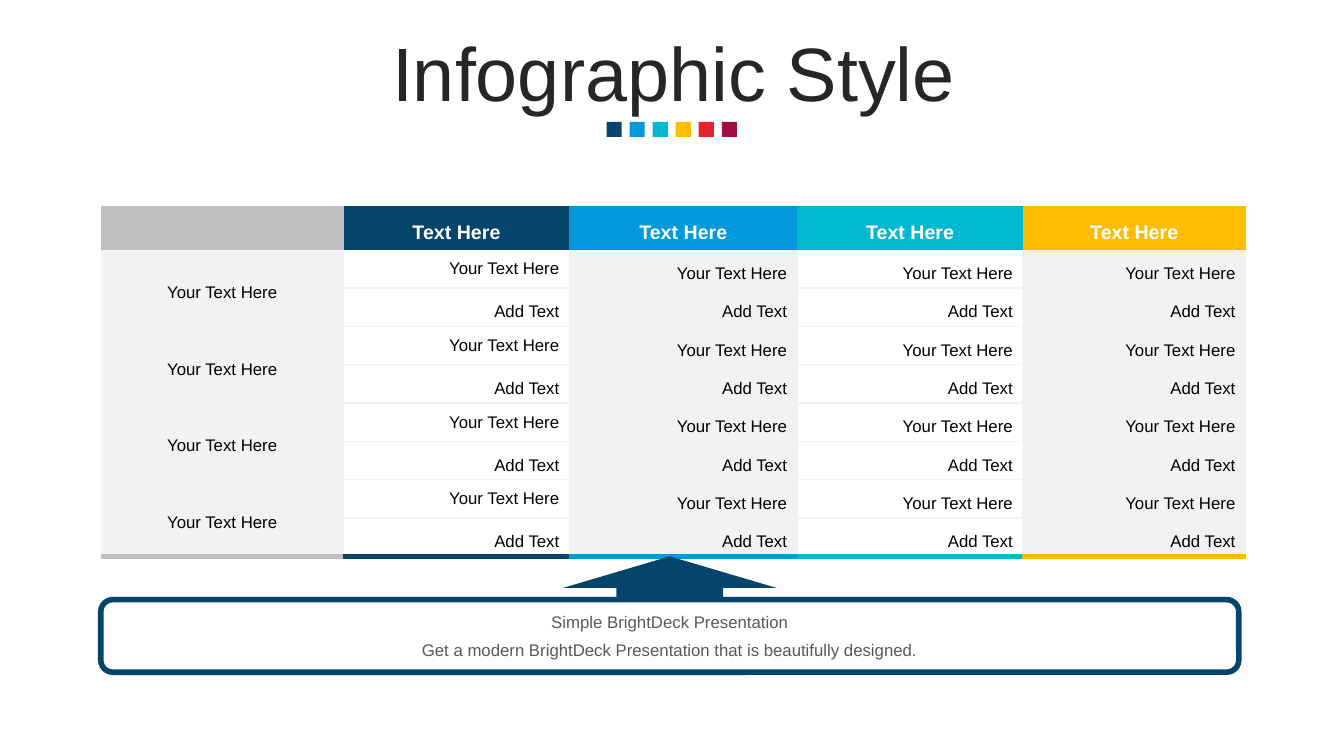
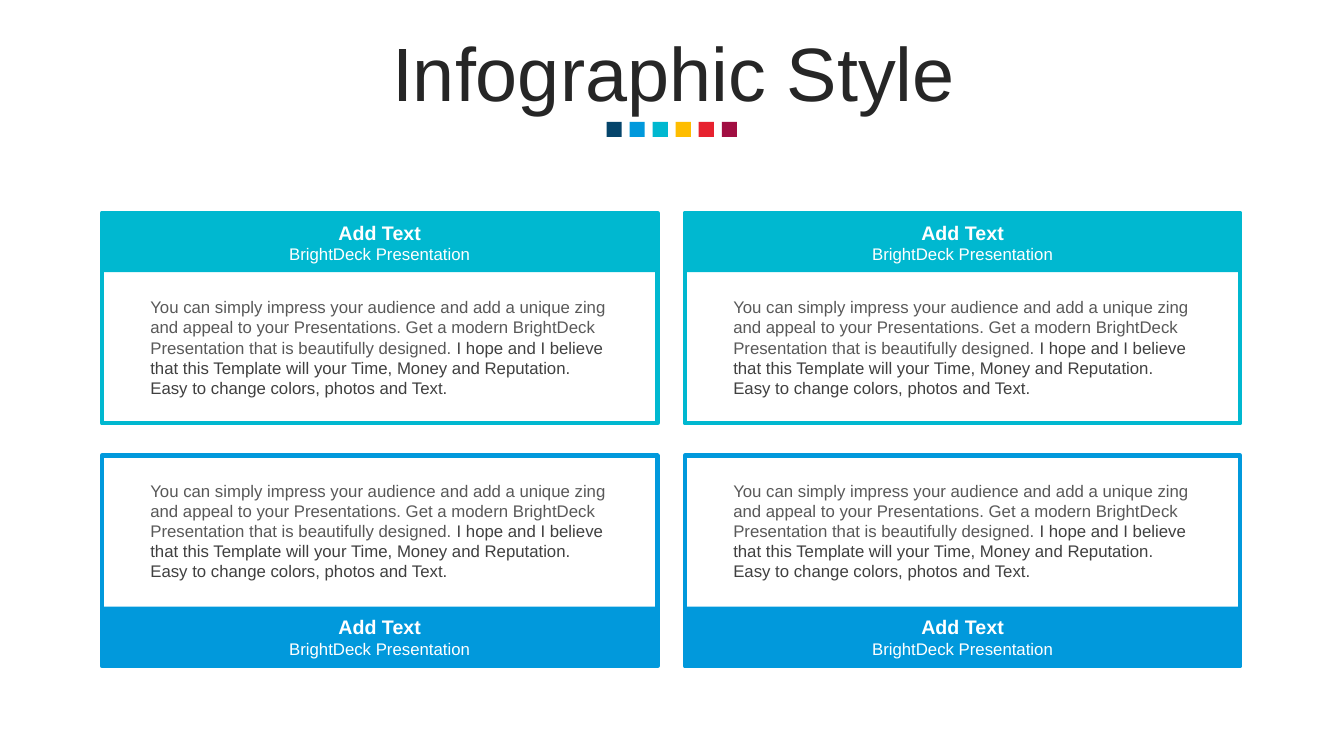
"""Build two infographic slides: a table with a callout and four text cards."""
from lxml import etree
from pptx import Presentation
from pptx.dml.color import RGBColor
from pptx.enum.shapes import MSO_SHAPE
from pptx.enum.text import MSO_ANCHOR, MSO_AUTO_SIZE, PP_ALIGN
from pptx.oxml.ns import qn
from pptx.util import Cm, Pt

RECT, ROUND, ARROW = MSO_SHAPE.RECTANGLE, MSO_SHAPE.ROUNDED_RECTANGLE, MSO_SHAPE.UP_ARROW
LEFT, MID, RIGHT = PP_ALIGN.LEFT, PP_ALIGN.CENTER, PP_ALIGN.RIGHT
CENTER = MSO_ANCHOR.MIDDLE
FIXED = MSO_AUTO_SIZE.NONE
FONT = "Arial"
PLAIN = "{2D5ABB26-0587-4C30-8999-92F81FD0307C}"
HUES = {
    "navy": "05456B", "blue": "0199DC", "teal": "00B8D0", "gold": "FEBD00",
    "red": "E7222F", "wine": "A10E42", "white": "FFFFFF", "black": "000000",
    "pale": "F2F2F2", "gray": "BFBFBF", "title": "262626", "text": "595959",
    "dark": "404040",
}
MARKS = ["navy", "blue", "teal", "gold", "red", "wine"]
HEADS = ["gray", "navy", "blue", "teal", "gold"]
COLS = [6.12, 5.69, 5.74, 5.69, 5.61]
PAIRS = 4
BODY = [
    ("You can simply impress your audience and add a unique zing and appeal to your "
     "Presentations. Get a modern BrightDeck Presentation that is beautifully designed. ", "text"),
    ("I hope and I believe that this Template will your Time, Money and Reputation. "
     "Easy to change colors, photos and Text.", "dark"),
]


def color(name):
    """Return the named colour."""
    return RGBColor.from_string(HUES[name])


def style(para, size, hue, bold=False, align=MID, space=1.0):
    """Format a paragraph and its runs."""
    para.alignment = align
    para.line_spacing = space
    for run in para.runs:
        font = run.font
        font.name, font.size, font.bold = FONT, Pt(size), bold
        font.color.rgb = color(hue)


def add_box(slide, kind, box, fill=None, line=None, width=0):
    """Add a flat shape with an optional fill and outline."""
    shape = slide.shapes.add_shape(kind, *map(Cm, box))
    shape.shadow.inherit = False
    if fill:
        shape.fill.solid()
        shape.fill.fore_color.rgb = color(fill)
    else:
        shape.fill.background()
    if line:
        shape.line.color.rgb = color(line)
        shape.line.width = Pt(width)
    else:
        shape.line.fill.background()
    return shape


def add_lines(shape, lines, gap=0):
    """Write centred lines, each given as text, size, hue and bold."""
    frame = shape.text_frame
    frame.word_wrap = True
    frame.vertical_anchor = CENTER
    frame.text = "\n".join(line[0] for line in lines)
    for i, (para, line) in enumerate(zip(frame.paragraphs, lines)):
        style(para, *line[1:])
        if i:
            para.space_before = Pt(gap)


def add_page(deck):
    """Add a slide with the shared title and row of colour marks."""
    slide = deck.slides.add_slide(deck.slide_layouts[5])
    title = slide.shapes.title
    title.left, title.top, title.width, title.height = map(Cm, (0.9, 0.94, 32.15, 2))
    frame = title.text_frame
    frame.text = "Infographic Style"
    frame.auto_size = FIXED
    frame.vertical_anchor = CENTER
    style(frame.paragraphs[0], 54, "title", space=0.9)
    for i, hue in enumerate(MARKS):
        add_box(slide, RECT, (15.29 + i * 0.58, 3.07, 0.38, 0.38), hue)
    return slide


def add_edge(cell, side, hue, width):
    """Draw one border of a cell."""
    props = cell._tc.get_or_add_tcPr()
    line = etree.SubElement(props, qn(f"a:ln{side}"), w=str(Pt(width)))
    fill = etree.SubElement(line, qn("a:solidFill"))
    etree.SubElement(fill, qn("a:srgbClr"), val=HUES[hue])


def fill_cell(cell, text, hue, *look):
    """Write a cell and colour it."""
    cell.fill.solid()
    cell.fill.fore_color.rgb = color(hue)
    cell.vertical_anchor = CENTER
    cell.text_frame.text = text
    style(cell.text_frame.paragraphs[0], *look)


def add_grid(slide, box):
    """Add the table with coloured heads and paired rows."""
    count = 1 + 2 * PAIRS
    table = slide.shapes.add_table(count, len(COLS), *map(Cm, box)).table
    table._tbl.tblPr.find(qn("a:tableStyleId")).text = PLAIN
    table.horz_banding = False
    for col, width in zip(table.columns, COLS):
        col.width = Cm(width)
    for r, row in enumerate(table.rows):
        row.height = Cm(0.94 if r else 1.11)
    for c, head in enumerate(HEADS):
        fill_cell(table.cell(0, c), "Text Here" if c else "", head, 14, "white", True, MID, 1.5)
        shade = "white" if c % 2 else "pale"
        for r in range(1, count):
            cell = table.cell(r, c)
            first = r % 2 == 1
            if c:
                add_edge(cell, "L", "pale", 1)
            if c < len(COLS) - 1:
                add_edge(cell, "R", "pale", 1)
            if r > 1:
                add_edge(cell, "T", "pale", 1)
            last = r == count - 1 or (c == 0 and r == count - 2)
            add_edge(cell, "B", head if last else "pale", 4.5 if last else 1)
            text = "Your Text Here" if first else "Add Text" if c else ""
            space = 1.0 if c == 1 and first else 1.5
            fill_cell(cell, text, shade, 12, "black", False, RIGHT if c else MID, space)
    for r in range(1, count, 2):
        table.cell(r, 0).merge(table.cell(r + 1, 0))


def add_note(slide, box):
    """Add the rounded note with an arrow pointing up from it."""
    x, y, w, _ = box
    note = add_box(slide, ROUND, box, "white", "navy", 4)
    add_lines(note, [
        ("Simple BrightDeck Presentation", 12, "text"),
        ("Get a modern BrightDeck Presentation that is beautifully designed.", 12, "text"),
    ], 5.5)
    wide, high = 5.38, 1.12
    arrow = add_box(slide, ARROW, (x + (w - wide) / 2, y - high + 0.03, wide, high), "navy")
    arrow.adjustments[0], arrow.adjustments[1] = 0.5, 0.71


def add_card(slide, box, hue, above):
    """Add a framed card with its band above or below the text."""
    x, y, w, h = box
    band = 1.5
    add_box(slide, RECT, box, None, hue, 3)
    head = add_box(slide, RECT, (x, y if above else y + h - band, w, band), hue)
    add_lines(head, [
        ("Add Text", 14, "white", True),
        ("BrightDeck Presentation", 12, "white"),
    ])
    top = y + 0.5 + (band if above else 0)
    text = slide.shapes.add_textbox(*map(Cm, (x + 0.97, top, 12, 2.82)))
    frame = text.text_frame
    frame.word_wrap = True
    para = frame.paragraphs[0]
    for words, _ in BODY:
        para.add_run().text = words
    style(para, 12, "text", align=LEFT)
    for run, (_, tint) in zip(para.runs, BODY):
        run.font.color.rgb = color(tint)


def main():
    """Build and save the deck."""
    deck = Presentation()
    deck.slide_width, deck.slide_height = Cm(33.87), Cm(19.05)
    slide = add_page(deck)
    add_grid(slide, (2.54, 5.18, sum(COLS), 8.66))
    add_note(slide, (2.54, 15.11, 28.68, 1.83))
    slide = add_page(deck)
    for y, hue, above in ((5.36, "teal", True), (11.48, "blue", False)):
        for x in (2.57, 17.26):
            add_card(slide, (x, y, 14, 5.31), hue, above)
    deck.save("out.pptx")


if __name__ == "__main__":
    main()
